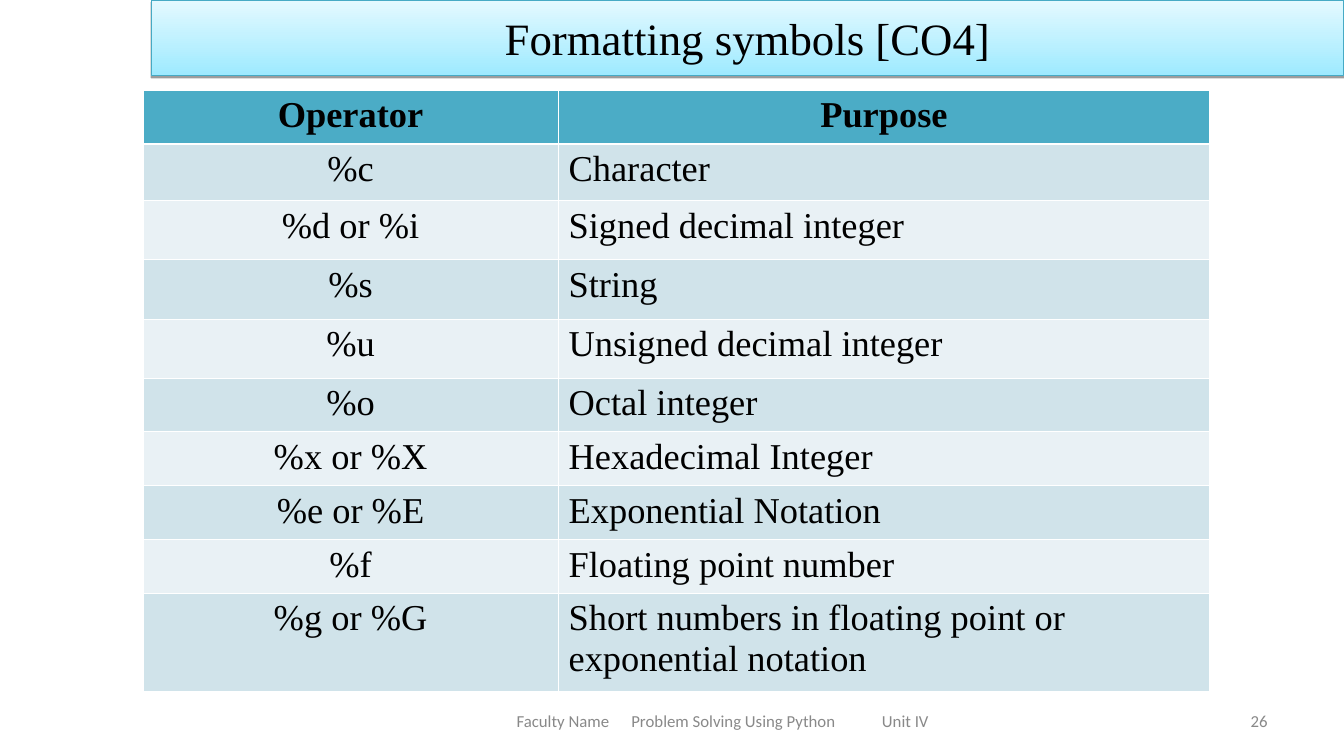
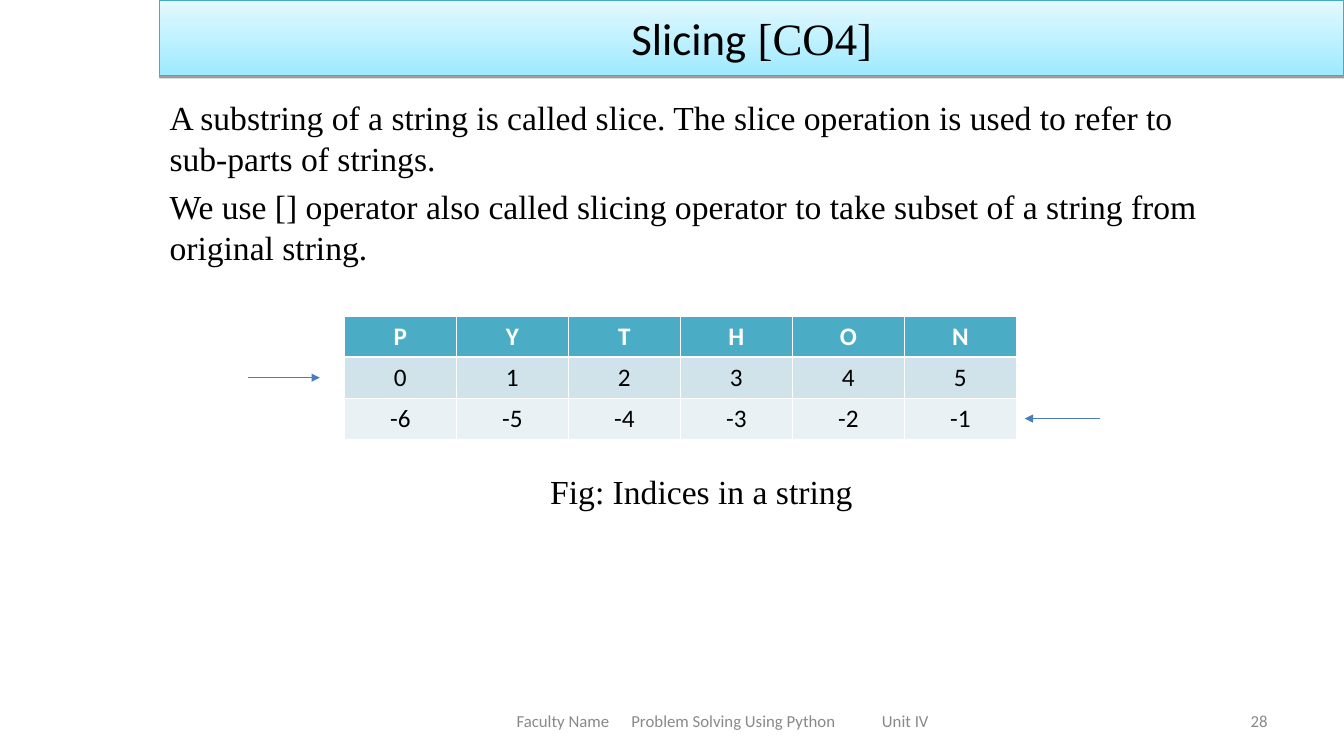
from dataclasses import dataclass

from lxml import etree
from pptx import Presentation
from pptx.dml.color import RGBColor
from pptx.enum.shapes import MSO_CONNECTOR
from pptx.enum.text import MSO_ANCHOR, MSO_AUTO_SIZE, PP_ALIGN
from pptx.oxml.ns import qn
from pptx.util import Pt

LEFT, CENTER, RIGHT = PP_ALIGN.LEFT, PP_ALIGN.CENTER, PP_ALIGN.RIGHT
TOP, MIDDLE = MSO_ANCHOR.TOP, MSO_ANCHOR.MIDDLE
STRAIGHT = MSO_CONNECTOR.STRAIGHT
NO_FIT = MSO_AUTO_SIZE.NONE


@dataclass(frozen=True)
class Theme:
    serif: str = "Times New Roman"
    sans: str = "Calibri"
    black: str = "000000"
    white: str = "FFFFFF"
    muted: str = "898989"
    band_bottom: str = "9EEAFF"
    band_top: str = "E4F9FF"
    band_line: str = "46AAC5"
    header: str = "4BACC6"
    stripes: tuple = ("D0E3EA", "E9F1F5")
    arrow: str = "4A7EBB"
    title_size: int = 32
    table_size: int = 26
    body_size: int = 24
    index_size: int = 18
    footer_size: int = 12
    hairline: float = 0.45
    header_rule: float = 1.5
    outline: float = 0.75


def rgb(color):
    return RGBColor.from_string(color)


def add_xml(parent, tag, **attrs):
    return etree.SubElement(parent, qn(tag), {k: str(v) for k, v in attrs.items()})


class Deck:
    WIDTH, HEIGHT = 960, 540
    FOOTER_TOP, FOOTER_HEIGHT = 500.5, 29

    def __init__(self, theme):
        self.theme = theme
        self.prs = Presentation()
        self.prs.slide_width, self.prs.slide_height = Pt(self.WIDTH), Pt(self.HEIGHT)
        self.s = None

    def slide(self, title, band_left, number):
        self.s = self.prs.slides.add_slide(self.prs.slide_layouts[5])
        self.title(title, band_left)
        self.footer(number)

    def style(self, font, size, face, color, bold=False):
        font.size, font.name, font.bold = Pt(size), face, bold
        font.color.rgb = rgb(color)

    def title(self, parts, left):
        t = self.theme
        sp = self.s.shapes.title
        sp.left, sp.top = Pt(left), Pt(0)
        sp.width, sp.height = Pt(self.WIDTH - left), Pt(54)
        sp.fill.gradient()
        sp.fill.gradient_angle = 90
        for stop, color in zip(sp.fill.gradient_stops, (t.band_bottom, t.band_top)):
            stop.color.rgb = rgb(color)
        sp.line.color.rgb = rgb(t.band_line)
        sp.line.width = Pt(t.outline)
        sp.shadow.inherit = False
        effects = sp._element.spPr.find(qn("a:effectLst"))
        shadow = add_xml(effects, "a:outerShdw", blurRad=0, dist=Pt(1.6),
                         dir=5400000, rotWithShape=0)
        add_xml(add_xml(shadow, "a:srgbClr", val=t.black), "a:alpha", val=38000)
        tf = sp.text_frame
        tf.auto_size, tf.vertical_anchor = NO_FIT, MIDDLE
        p = tf.paragraphs[0]
        p.alignment = CENTER
        for text, face in parts:
            r = p.add_run()
            r.text = text
            self.style(r.font, t.title_size, face, t.black)

    def text(self, box, lines, size, face, color, align=LEFT, anchor=TOP, before=0, tabs=()):
        sp = self.s.shapes.add_textbox(*map(Pt, box))
        tf = sp.text_frame
        tf.word_wrap, tf.vertical_anchor = True, anchor
        tf.text = "\n".join(lines)
        for i, p in enumerate(tf.paragraphs):
            p.alignment = align
            if i:
                p.space_before = Pt(before)
            if tabs:
                stops = add_xml(p._p.get_or_add_pPr(), "a:tabLst")
                for pos in tabs:
                    add_xml(stops, "a:tab", pos=Pt(pos), algn="l")
            for r in p.runs:
                self.style(r.font, size, face, color)
        return sp

    def footer(self, number):
        t = self.theme
        look = (t.footer_size, t.sans, t.muted)
        sp = self.text((318, self.FOOTER_TOP, 396, self.FOOTER_HEIGHT),
                       ["Faculty Name\tProblem Solving Using Python\tUnit IV"],
                       *look, anchor=MIDDLE, tabs=(82, 261))
        sp.text_frame.margin_left = Pt(51)
        self.text((688.5, self.FOOTER_TOP, 224, self.FOOTER_HEIGHT), [str(number)],
                  *look, align=RIGHT, anchor=MIDDLE)

    def borders(self, cell, row):
        t = self.theme
        tcPr = cell._tc.get_or_add_tcPr()
        for side in "LRTB":
            heavy = (row, side) in ((0, "B"), (1, "T"))
            ln = add_xml(tcPr, f"a:ln{side}", w=Pt(t.header_rule if heavy else t.hairline))
            add_xml(add_xml(ln, "a:solidFill"), "a:srgbClr", val=t.white)

    def table(self, left, top, widths, heights, rows, size, face, header_color, aligns):
        t = self.theme
        frame = self.s.shapes.add_table(len(rows), len(widths), Pt(left), Pt(top),
                                        Pt(sum(widths)), Pt(sum(heights)))
        tbl = frame.table
        for col, width in zip(tbl.columns, widths):
            col.width = Pt(width)
        for i, (row, height) in enumerate(zip(rows, heights)):
            tbl.rows[i].height = Pt(height)
            for j, text in enumerate(row):
                cell = tbl.cell(i, j)
                self.borders(cell, i)
                cell.fill.solid()
                cell.fill.fore_color.rgb = rgb(t.stripes[(i - 1) % 2] if i else t.header)
                p = cell.text_frame.paragraphs[0]
                p.text = text
                p.alignment = aligns[j] if i else CENTER
                self.style(p.runs[0].font, size, face,
                           t.black if i else header_color, bold=i == 0)

    def arrow(self, x1, x2, y):
        t = self.theme
        c = self.s.shapes.add_connector(STRAIGHT, Pt(x1), Pt(y), Pt(x2), Pt(y))
        c.line.color.rgb = rgb(t.arrow)
        c.line.width = Pt(t.outline)
        add_xml(c.line._get_or_add_ln(), "a:tailEnd", type="triangle")
        add_xml(c._element.spPr, "a:effectLst")


def formatting_symbols(deck):
    t = deck.theme
    deck.slide([("Formatting symbols [CO4]", t.serif)], 108, 26)
    rows = [
        ("Operator", "Purpose"),
        ("%c", "Character"),
        ("%d or %i", "Signed decimal integer"),
        ("%s", "String"),
        ("%u", "Unsigned decimal integer"),
        ("%o", "Octal integer"),
        ("%x or %X", "Hexadecimal Integer"),
        ("%e or %E", "Exponential Notation"),
        ("%f", "Floating point number"),
        ("%g or %G", "Short numbers in floating point or exponential notation"),
    ]
    heights = [38, 40.5] + [42.2] * 3 + [38.5] * 4 + [69.5]
    deck.table(102, 64.5, (297, 465), heights, rows, t.table_size, t.serif,
               t.black, (CENTER, LEFT))


def slicing(deck):
    t = deck.theme
    deck.slide([("Slicing", t.sans), (" [CO4]", t.serif)], 114, 28)
    look = (t.body_size, t.serif, t.black)
    deck.text((114, 66, 774, 130), [
        "A substring of a string is called slice. The slice operation is used to refer to "
        "sub-parts of strings.",
        "We use [] operator also called slicing operator to take subset of a string from "
        "original string.",
    ], *look, before=6)
    word = "PYTHON"
    count, row_height, left, top = len(word), 29.2, 246, 226
    rows = [word, [str(i) for i in range(count)], [str(i) for i in range(-count, 0)]]
    deck.table(left, top, [80] * count, [row_height] * 3, rows, t.index_size, t.sans,
               t.white, [CENTER] * count)
    deck.arrow(177, 228.5, top + 1.5 * row_height)
    deck.arrow(786, 732, top + 2.5 * row_height)
    deck.text((114, 333, 774, 36), ["Fig: Indices in a string"], *look, align=CENTER)


def main():
    deck = Deck(Theme())
    formatting_symbols(deck)
    slicing(deck)
    deck.prs.save("out.pptx")


if __name__ == "__main__":
    main()
